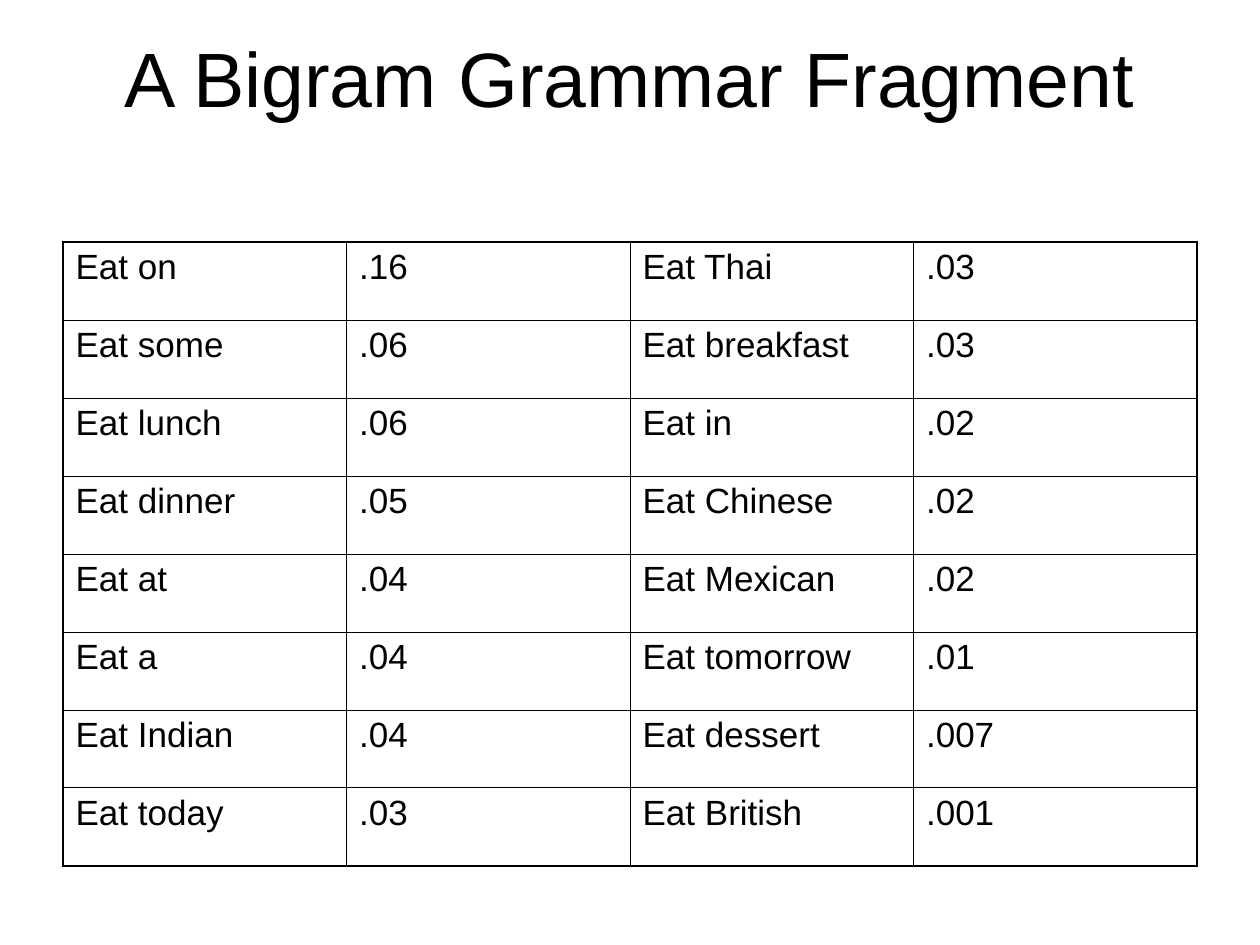
from lxml.etree import SubElement
from pptx import Presentation
from pptx.dml.color import RGBColor
from pptx.enum.text import MSO_ANCHOR as Anchor, PP_ALIGN as Align
from pptx.oxml.ns import qn
from pptx.util import Emu, Pt

BIGRAMS = [
    ("Eat on", ".16", "Eat Thai", ".03"),
    ("Eat some", ".06", "Eat breakfast", ".03"),
    ("Eat lunch", ".06", "Eat in", ".02"),
    ("Eat dinner", ".05", "Eat Chinese", ".02"),
    ("Eat at", ".04", "Eat Mexican", ".02"),
    ("Eat a", ".04", "Eat tomorrow", ".01"),
    ("Eat Indian", ".04", "Eat dessert", ".007"),
    ("Eat today", ".03", "Eat British", ".001"),
]


def px(count):
    """Turn px, 126 to the inch, into EMU."""
    return Emu(round(count * 914400 / 126))


def color(code):
    return RGBColor.from_string(code)


def write(frame, text, *, size, font, ink, align=Align.LEFT):
    para = frame.paragraphs[0]
    para.alignment = align
    span = para.add_run()
    span.text = text
    span.font.size = Pt(size)
    span.font.name = font
    span.font.color.rgb = color(ink)


class Slide:
    font = "Arial"
    ink = "000000"
    outer_line = 1.08
    inner_line = 0.45

    def __init__(self, deck):
        self.page = deck.slides.add_slide(deck.slide_layouts[6])

    def title(self, text, left, top, width, height):
        box = self.page.shapes.add_textbox(px(left), px(top), px(width), px(height))
        frame = box.text_frame
        frame.word_wrap = True
        frame.vertical_anchor = Anchor.MIDDLE
        write(frame, text, size=44, font=self.font, ink=self.ink, align=Align.CENTER)

    def border(self, cell, side, width):
        line = SubElement(cell._tc.get_or_add_tcPr(), qn(f"a:ln{side}"), w=str(Pt(width)))
        fill = SubElement(line, qn("a:solidFill"))
        SubElement(fill, qn("a:srgbClr"), val=self.ink)

    def table(self, rows, left, top, width, row_height):
        last_row, last_column = len(rows) - 1, len(rows[0]) - 1
        table = self.page.shapes.add_table(
            len(rows), len(rows[0]), px(left), px(top), px(width), px(row_height * len(rows))
        ).table
        table.first_row = table.horz_banding = False
        for r, row in enumerate(rows):
            for c, text in enumerate(row):
                cell = table.cell(r, c)
                write(cell.text_frame, text, size=20, font=self.font, ink=self.ink)
                edges = {"L": c == 0, "R": c == last_column, "T": r == 0, "B": r == last_row}
                for side, is_outer in edges.items():
                    self.border(cell, side, self.outer_line if is_outer else self.inner_line)
                cell.fill.background()


def main():
    deck = Presentation()
    deck.slide_width, deck.slide_height = px(1260), px(945)
    slide = Slide(deck)
    slide.title("A Bigram Grammar Fragment", 63, 38, 1134, 78)
    slide.table(BIGRAMS, 63, 242, 1134, 78)
    deck.save("out.pptx")


if __name__ == "__main__":
    main()
